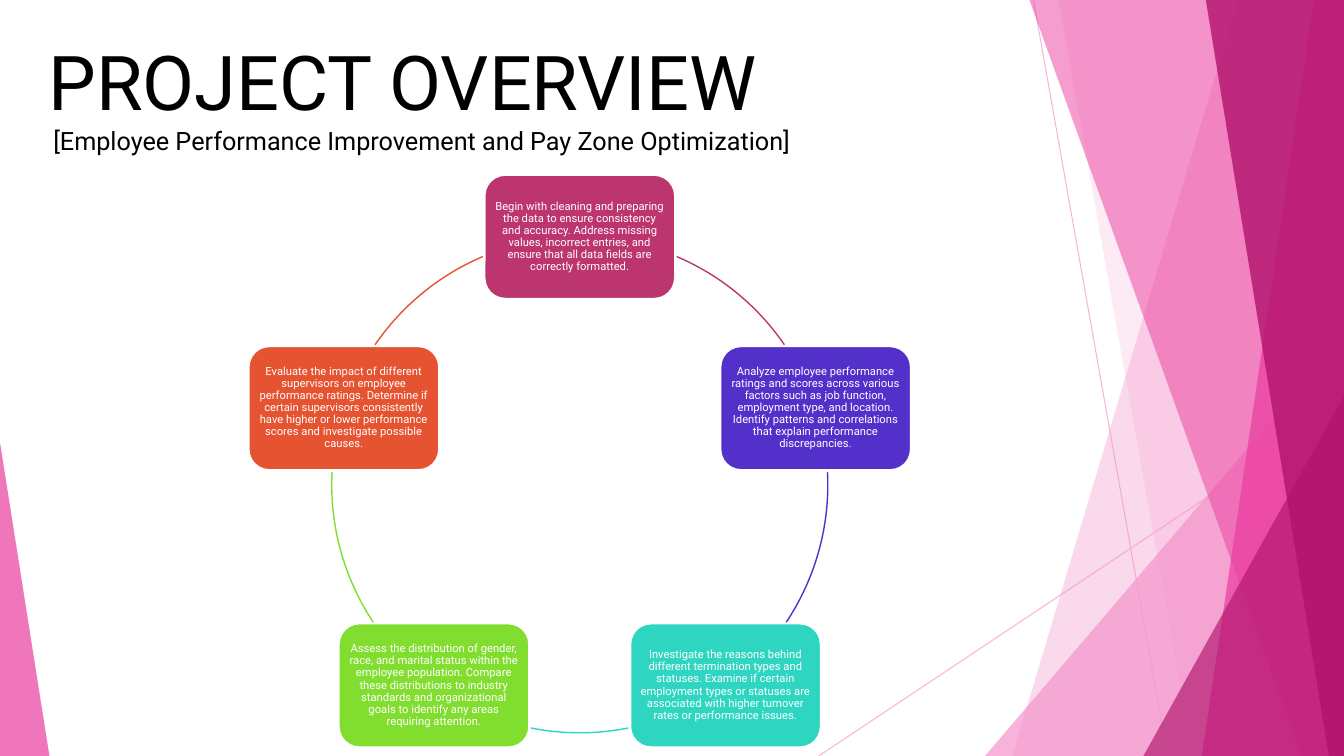
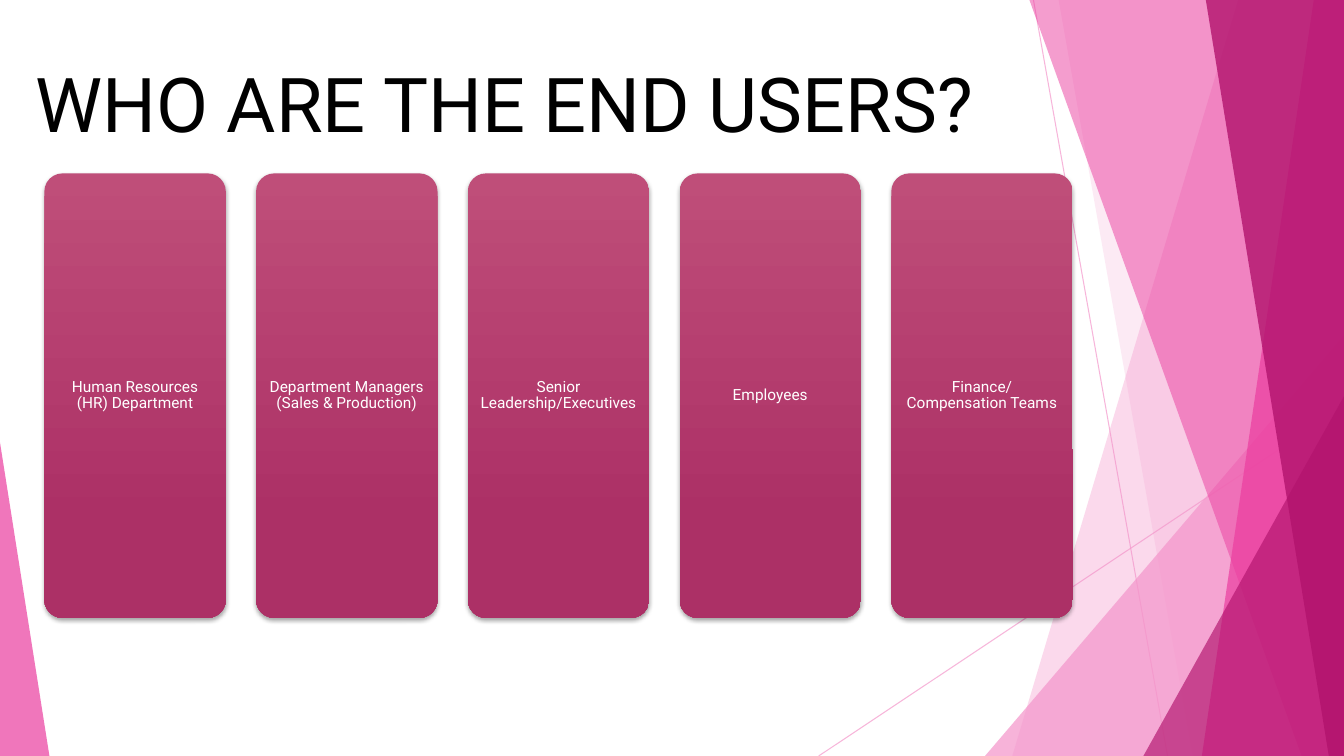
import math
import pptx
import pptx.dml.color
import pptx.enum.shapes
import pptx.enum.text
import pptx.oxml
import pptx.oxml.ns
import pptx.util

Inches = pptx.util.Inches
Pt = pptx.util.Pt
KIND = pptx.enum.shapes.MSO_SHAPE
ALIGN = pptx.enum.text.PP_ALIGN
ANCHOR = pptx.enum.text.MSO_ANCHOR
WIDE, HIGH = 13.33, 7.5
FONT = "Roboto"
INK, WHITE = "000000", "FFFFFF"
PALE, PINK, DEEP = "F496CB", "EB3D9F", "B2136D"

ART = [
    ("line", (10.25, 0, 11.58, HIGH), PALE, 70),
    ("line", (WIDE, 4.03, 8.12, HIGH), PALE, 70),
    ("band", (12.28, 10.04), PALE, 36),
    ("band", (10.5, 11.83), PALE, 20),
    ("wedge", (9.77, 3.33, 3.56, 1), PALE, 72),
    ("band", (10.21, 12.91), PINK, 50),
    ("band", (13.03, 11.92), PINK, 70),
    ("band", (11.96, 13.18), DEEP, 80),
    ("wedge", (11.34, 3.93, 1.99, 1), DEEP, 66),
    ("wedge", (0, 4.39, 0.49, 0), PINK, 70),
]

STEPS = [
    ("BC356F", (293, 325.6), "Begin with cleaning and preparing the data to ensure consistency and accuracy. "
     "Address missing values, incorrect entries, and ensure that all data fields are correctly formatted."),
    ("5330CA", (357, 33.7), "Analyze employee performance ratings and scores across various factors such as "
     "job function, employment type, and location. Identify patterns and correlations that explain "
     "performance discrepancies."),
    ("2ED6C2", (78.7, 101.3), "Investigate the reasons behind different termination types and statuses. "
     "Examine if certain employment types or statuses are associated with higher turnover rates or "
     "performance issues."),
    ("81DE2F", (146.3, 183), "Assess the distribution of gender, race, and marital status within the employee "
     "population. Compare these distributions to industry standards and organizational goals to identify "
     "any areas requiring attention."),
    ("E65331", (214.4, 247), "Evaluate the impact of different supervisors on employee performance ratings. "
     "Determine if certain supervisors consistently have higher or lower performance scores and "
     "investigate possible causes."),
]

USERS = ["Human Resources (HR) Department", "Department Managers (Sales & Production)",
         "Senior Leadership/Executives", "Employees", "Finance/Compensation Teams"]


def tint(text):
    return pptx.dml.color.RGBColor.from_string(text)


def put(item, vals):
    for name, val in vals.items():
        setattr(item, name, val)


def place(x, y, w, h):
    return dict(zip(("left", "top", "width", "height"), map(Inches, (x, y, w, h))))


def write(shape, text, size, hue, frame=None, para=None):
    box = shape.text_frame
    box.text = text
    put(box, {"word_wrap": True, **(frame or {})})
    line = box.paragraphs[0]
    put(line, {"alignment": ALIGN.LEFT, **(para or {})})
    put(line.runs[0].font, {"name": FONT, "size": Pt(size)})
    line.runs[0].font.color.rgb = tint(hue)


def stroke(shape, hue, size):
    shape.line.color.rgb = tint(hue)
    shape.line.width = Pt(size)


def paint(shape, hue):
    shape.shadow.inherit = False
    shape.fill.solid()
    shape.fill.fore_color.rgb = tint(hue)
    shape.line.fill.background()


def fade(shape, pct):
    node = shape.element.spPr.xpath(".//a:srgbClr")[0]
    alpha = pptx.oxml.ns.qn("a:alpha")
    node.append(node.makeelement(alpha, {"val": str(pct * 1000)}))


def add_line(slide, spots, hue):
    kind = pptx.enum.shapes.MSO_CONNECTOR.STRAIGHT
    line = slide.shapes.add_connector(kind, *map(Inches, spots))
    stroke(line, hue, 0.75)
    props = line.element.spPr
    props.append(props.makeelement(pptx.oxml.ns.qn("a:effectLst"), {}))
    return line


def add_band(slide, ends, hue):
    top, base = map(Inches, ends)
    pen = slide.shapes.build_freeform(top, 0)
    edge, foot = Inches(WIDE), Inches(HIGH)
    pen.add_line_segments([(edge, 0), (edge, foot), (base, foot)], close=True)
    band = pen.convert_to_shape()
    paint(band, hue)
    return band


def add_wedge(slide, spot, hue):
    x, y, w, peak = spot
    wedge = slide.shapes.add_shape(KIND.ISOSCELES_TRIANGLE, *map(Inches, (x, y, w, HIGH - y)))
    wedge.adjustments[0] = peak
    paint(wedge, hue)
    return wedge


def add_art(slide):
    tree = slide.slide_layout.element.cSld.spTree
    make = {"line": add_line, "band": add_band, "wedge": add_wedge}
    for rank, (kind, spot, hue, pct) in enumerate(ART):
        shape = make[kind](slide, spot, hue)
        fade(shape, pct)
        shape.element.xpath(".//p:cNvPr")[0].set("id", str(100 + rank))
        tree.insert(2 + rank, shape.element)


def add_title(slide, text, spot):
    title = slide.shapes.title
    put(title, place(*spot))
    write(title, text, 54, INK, {"vertical_anchor": ANCHOR.TOP,
                                 "auto_size": pptx.enum.text.MSO_AUTO_SIZE.NONE})


def add_card(slide, spot, text, size, inset):
    card = slide.shapes.add_shape(KIND.ROUNDED_RECTANGLE, *map(Inches, spot))
    sides = ("left", "top", "right", "bottom")
    frame = {f"margin_{side}": Inches(inset) for side in sides}
    write(card, text, size, WHITE, {"vertical_anchor": ANCHOR.MIDDLE, **frame},
          {"alignment": ALIGN.CENTER, "line_spacing": 0.9})
    return card


def add_arc(slide, spot, ends, hue):
    arc = slide.shapes.add_shape(KIND.ARC, *map(Inches, spot))
    for rank, turn in enumerate(ends):
        arc.adjustments[rank] = turn * 0.6
    arc.shadow.inherit = False
    arc.fill.background()
    stroke(arc, hue, 1)


def add_ring(slide):
    mid, cen, rad, w, h = 5.75, 4.81, 2.46, 1.89, 1.23
    for rank, (hue, ends, text) in enumerate(STEPS):
        turn = math.radians(72 * rank - 90)
        x = mid + rad * math.cos(turn) - w / 2
        y = cen + rad * math.sin(turn) - h / 2
        card = add_card(slide, (x, y, w, h), text, 8, 0.03)
        paint(card, hue)
        stroke(card, WHITE, 1.5)
        add_arc(slide, (mid - rad, cen - rad, 2 * rad, 2 * rad), ends, hue)


def shade(card):
    card.line.fill.background()
    card.fill.gradient()
    card.fill.gradient_angle = 270
    for stop, spot, hue in zip(card.fill.gradient_stops, (0, 0.78), ("BF4E79", "AC3066")):
        stop.position = spot
        stop.color.rgb = tint(hue)
    card.element.spPr.append(pptx.oxml.parse_xml(
        f'<a:effectLst {pptx.oxml.ns.nsdecls("a")}>'
        '<a:outerShdw blurRad="38100" dist="25400" dir="5400000" rotWithShape="0">'
        '<a:srgbClr val="000000"><a:alpha val="35000"/></a:srgbClr>'
        '</a:outerShdw></a:effectLst>'))


def add_users(slide):
    for rank, text in enumerate(USERS):
        card = add_card(slide, (0.44 + 2.1 * rank, 1.72, 1.8, 4.41), text, 11, 0.05)
        card.adjustments[0] = 0.1
        shade(card)


def main():
    deck = pptx.Presentation()
    put(deck, {"slide_width": Inches(WIDE), "slide_height": Inches(HIGH)})
    plan, crowd = [deck.slides.add_slide(deck.slide_layouts[5]) for _ in range(2)]
    add_art(plan)
    add_title(plan, "PROJECT OVERVIEW", (0.38, 0.3, 7.81, 1.01))
    note = plan.shapes.add_textbox(*map(Inches, (0.43, 1.19, 7.91, 0.4)))
    write(note, "[Employee Performance Improvement and Pay Zone Optimization]", 18, INK)
    add_ring(plan)
    add_title(crowd, "WHO ARE THE END USERS?", (0.25, 0.51, 9.7, 1.01))
    add_users(crowd)
    deck.save("out.pptx")


if __name__ == "__main__":
    main()
